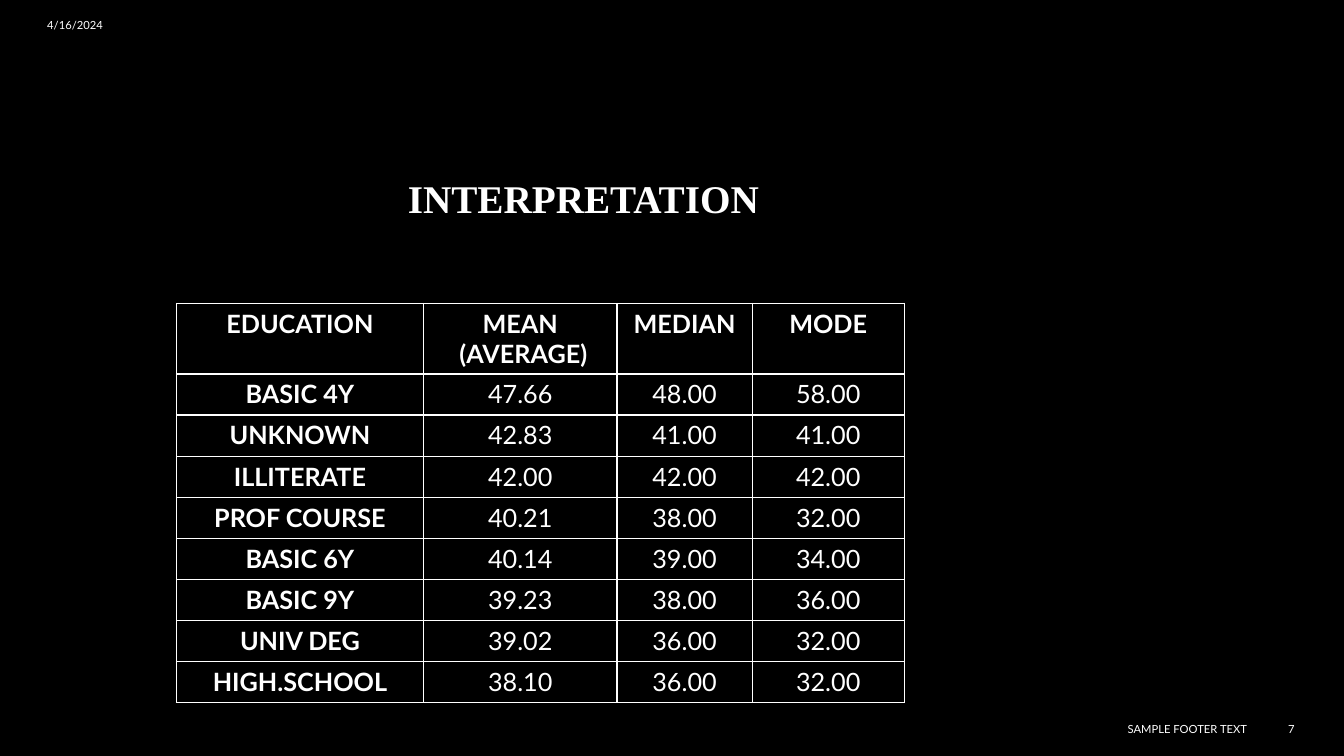
from lxml import etree
from pptx import Presentation
from pptx.dml.color import RGBColor
from pptx.enum.text import MSO_ANCHOR, PP_ALIGN
from pptx.oxml.ns import qn
from pptx.util import Inches, Pt

LEFT, CENTER, RIGHT = PP_ALIGN.LEFT, PP_ALIGN.CENTER, PP_ALIGN.RIGHT
MIDDLE, BOTTOM = MSO_ANCHOR.MIDDLE, MSO_ANCHOR.BOTTOM
BLACK = RGBColor(0, 0, 0)
WHITE = RGBColor(255, 255, 255)

HEADS = ["EDUCATION", "MEAN\n (AVERAGE)", "MEDIAN", "MODE"]
STATS = [
    ("BASIC 4Y", 47.66, 48, 58),
    ("UNKNOWN", 42.83, 41, 41),
    ("ILLITERATE", 42, 42, 42),
    ("PROF COURSE", 40.21, 38, 32),
    ("BASIC 6Y", 40.14, 39, 34),
    ("BASIC 9Y", 39.23, 38, 36),
    ("UNIV DEG", 39.02, 36, 32),
    ("HIGH.SCHOOL", 38.1, 36, 32),
]
WIDTHS = [2.45, 1.92, 1.34, 1.51]
HEIGHT, TOP_ROW = 3.96, 0.7


class Deck:
    """Holds the style and the current slide, and adds elements to it."""

    def __init__(self, slide):
        self.slide = slide
        self.font = "Lato"
        self.ink = WHITE
        fill = slide.background.fill
        fill.solid()
        fill.fore_color.rgb = BLACK

    def letter(self, frame, text, align, **style):
        frame.text = text
        look = {"name": self.font, "bold": False, **style}
        for para in frame.paragraphs:
            para.alignment = align
            for run in para.runs:
                for key, value in look.items():
                    setattr(run.font, key, value)
                run.font.color.rgb = self.ink

    def label(self, text, box, align, anchor=MIDDLE, **style):
        shape = self.slide.shapes.add_textbox(*map(Inches, box))
        frame = shape.text_frame
        frame.word_wrap = True
        frame.vertical_anchor = anchor
        self.letter(frame, text, align, **style)
        return frame

    def border(self, cell):
        props = cell._tc.get_or_add_tcPr()
        for index, side in enumerate(("lnL", "lnR", "lnT", "lnB")):
            line = etree.Element(qn("a:" + side), w=str(Pt(1)))
            fill = etree.SubElement(line, qn("a:solidFill"))
            etree.SubElement(fill, qn("a:srgbClr"), val=str(self.ink))
            props.insert(index, line)

    def table(self, rows, box, widths, heights):
        frame = self.slide.shapes.add_table(
            len(rows), len(widths), *map(Inches, box))
        table = frame.table
        table.horz_banding = False
        for column, width in zip(table.columns, widths):
            column.width = Inches(width)
        for r, (row, height) in enumerate(zip(rows, heights)):
            table.rows[r].height = Inches(height)
            for c, text in enumerate(row):
                cell = table.cell(r, c)
                cell.fill.background()
                self.border(cell)
                self.letter(cell.text_frame, text, CENTER,
                            size=Pt(18), bold=r == 0 or c == 0)


def main():
    show = Presentation()
    show.slide_width, show.slide_height = Inches(13.33), Inches(7.5)
    deck = Deck(show.slides.add_slide(show.slide_layouts[6]))

    title = deck.label("INTERPRETATION", (0.34, 0.68, 10.89, 1.57), CENTER,
                       BOTTOM, name="Times New Roman", size=Pt(28), bold=True)
    title.paragraphs[0].line_spacing = 0.9

    rows = [HEADS]
    rows += [[name, *(f"{n:.2f}" for n in nums)] for name, *nums in STATS]
    count = len(STATS)
    heights = [TOP_ROW] + [(HEIGHT - TOP_ROW) / count] * count
    deck.table(rows, (1.75, 3.01, sum(WIDTHS), HEIGHT), WIDTHS, heights)

    for text, box, align in (
        ("4/16/2024", (0.37, 0.07, 3, 0.35), LEFT),
        ("SAMPLE FOOTER TEXT", (8.03, 7.03, 4.44, 0.4), RIGHT),
        ("7", (12.47, 7.03, 0.47, 0.4), RIGHT),
    ):
        deck.label(text, box, align, size=Pt(8))

    show.save("out.pptx")


if __name__ == "__main__":
    main()
